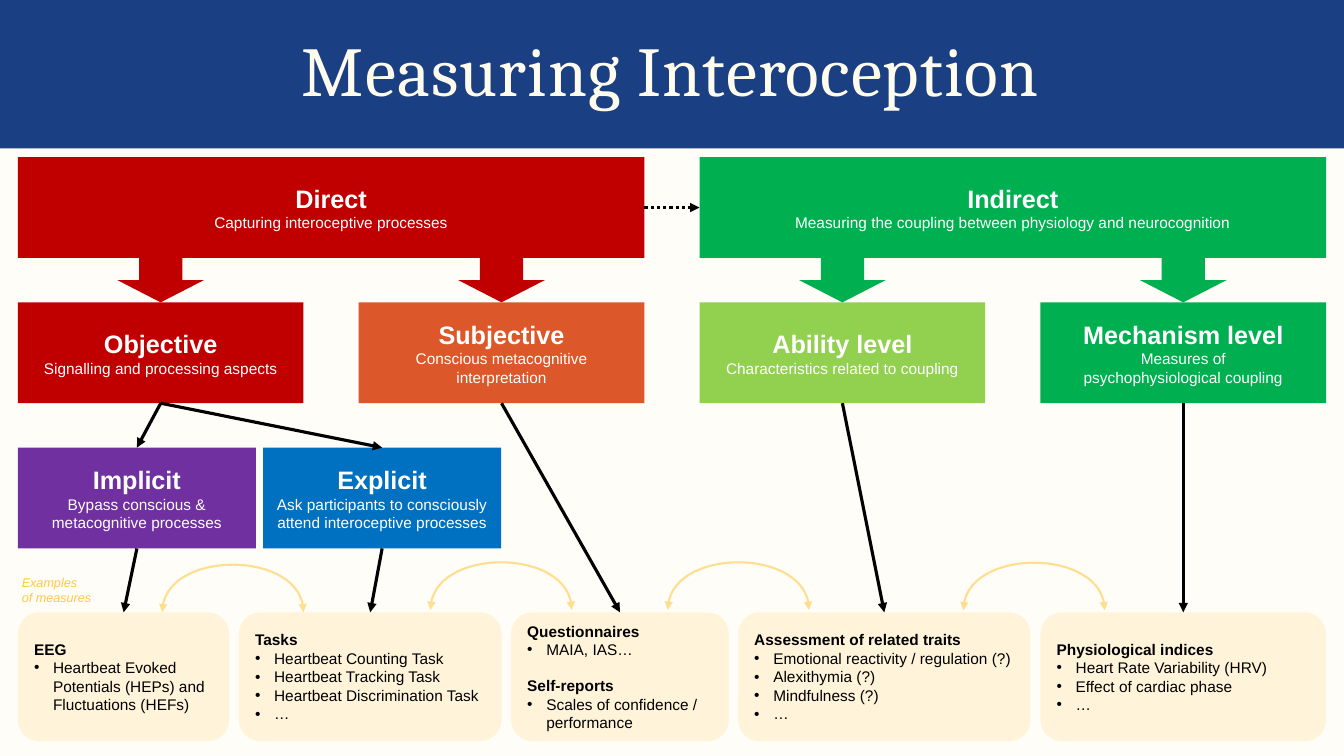
from lxml import etree
from pptx import Presentation
from pptx import util as u
from pptx.dml.color import RGBColor
from pptx.enum import dml, shapes, text
from pptx.oxml import ns

COLORS = {
    "page": "FFFDF8", "band": "1A3F82", "title": "FFFCEE", "red": "C00000",
    "orange": "DC582A", "green": "00B050", "lime": "92D050", "blue": "0070C0",
    "purple": "7030A0", "card": "FFF4DA", "arc": "FFDE8F", "note": "FFC845",
    "white": "FFFFFF", "black": "000000",
}
FORMATS = {
    "title": {"name": "Cambria", "size": u.Pt(50), "bold": False},
    "head": {"name": "Arial", "size": u.Pt(18), "bold": True},
    "sub": {"name": "Arial", "size": u.Pt(11), "bold": False},
    "topic": {"name": "Arial", "size": u.Pt(11), "bold": True},
    "note": {"name": "Arial", "size": u.Pt(9), "italic": True},
}
LEFT, PITCH, BOX_W, BOX_H = 0.45, 8.59, 7.2, 2.54
ROW_1, ROW_2, ROW_3, CARD_TOP = 3.96, 7.62, 11.28, 15.43
COLUMNS = [LEFT + i * PITCH for i in range(4)]


def rgb(key):
    """Return the named colour."""
    return RGBColor.from_string(COLORS[key])


def child(parent, tag, **attrs):
    """Append a DrawingML element to its parent."""
    return etree.SubElement(parent, ns.qn("a:" + tag), attrs)


class Deck:
    """Holds the presentation, the current slide and its style."""

    def __init__(self):
        """Open a title-only slide in widescreen."""
        self.prs = Presentation()
        self.prs.slide_width, self.prs.slide_height = u.Cm(33.87), u.Cm(19.05)
        self.s = self.prs.slides.add_slide(self.prs.slide_layouts[5])
        self.s.background.fill.solid()
        self.s.background.fill.fore_color.rgb = rgb("page")

    def run(self, p, words, style, color):
        """Add a formatted run to a paragraph."""
        r = p.add_run()
        r.text = words
        for name, value in FORMATS[style].items():
            setattr(r.font, name, value)
        r.font.color.rgb = rgb(color)

    def lines(self, tf, rows, color, align):
        """Fill a text frame with (words, style) rows."""
        tf.word_wrap = True
        tf.vertical_anchor = text.MSO_ANCHOR.MIDDLE
        for i, (words, style) in enumerate(rows):
            p = tf.add_paragraph() if i else tf.paragraphs[0]
            p.alignment = align
            self.run(p, words, style, color)

    def shape(self, kind, x, y, w, h, fill):
        """Add a flat filled shape."""
        sp = self.s.shapes.add_shape(kind, u.Cm(x), u.Cm(y), u.Cm(w), u.Cm(h))
        sp.shadow.inherit = False
        sp.fill.solid()
        sp.fill.fore_color.rgb = rgb(fill)
        sp.line.fill.background()
        return sp

    def title(self, words):
        """Place the title on its band."""
        sp = self.s.shapes.title
        band = self.shape(shapes.MSO_SHAPE.RECTANGLE, 0, 0, 33.87, 3.74, "band")
        sp.element.addprevious(band.element)
        sp.left, sp.top, sp.width, sp.height = (u.Cm(v) for v in (2.18, 0.79, 29.46, 2.16))
        self.lines(sp.text_frame, [(words, "title")], "title", text.PP_ALIGN.CENTER)
        p = sp.text_frame.paragraphs[0]
        p.line_spacing = 0.9
        p.space_before = u.Pt(0)
        p.runs[0]._r.get_or_add_rPr().set("spc", "80")

    def box(self, x, y, w, fill, head, *subs):
        """Add a coloured category box."""
        sp = self.shape(shapes.MSO_SHAPE.RECTANGLE, x, y, w, BOX_H, fill)
        rows = [(head, "head")] + [(sub, "sub") for sub in subs]
        self.lines(sp.text_frame, rows, "white", text.PP_ALIGN.CENTER)
        return sp

    def card(self, x, w, groups):
        """Add a rounded card of topics with bulleted examples."""
        sp = self.shape(shapes.MSO_SHAPE.ROUNDED_RECTANGLE, x, CARD_TOP, w, 3.25, "card")
        rows = []
        for topic, items in groups.items():
            rows += [(topic, "topic")] + [(item, "sub") for item in items]
        self.lines(sp.text_frame, rows, "black", text.PP_ALIGN.LEFT)
        for i, (p, (_, style)) in enumerate(zip(sp.text_frame.paragraphs, rows)):
            if style == "sub":
                pPr = p._p.get_or_add_pPr()
                pPr.set("marL", str(u.Cm(0.48)))
                pPr.set("indent", str(-u.Cm(0.48)))
                child(pPr, "buFont", typeface="Arial")
                child(pPr, "buChar", char="•")
            elif i:
                p.space_before = u.Pt(12.65)
        return sp

    def stroke(self, sp, color, width, ends, dash=None):
        """Style a line and give it arrowheads."""
        sp.line.color.rgb = rgb(color)
        sp.line.width = u.Pt(width)
        if dash:
            sp.line.dash_style = dash
        for end in ends:
            child(sp.element.spPr.find(ns.qn("a:ln")), end, type="triangle")

    def link(self, start, end, sites=(2, 0), dash=None):
        """Connect two shapes with an arrow."""
        sp = self.s.shapes.add_connector(shapes.MSO_CONNECTOR.STRAIGHT, 0, 0, 0, 0)
        sp.begin_connect(start, sites[0])
        sp.end_connect(end, sites[1])
        self.stroke(sp, "black", 2.25, ["tailEnd"], dash)
        child(sp.element.spPr, "effectLst")

    def arc(self, x, y, w=3.56, rise=1.6, steps=32):
        """Draw a double-headed arch."""
        ts = [i / steps for i in range(steps + 1)]
        points = [(u.Cm(x + w * t * t * (3 - 2 * t)), u.Cm(y - 3 * rise * t * (1 - t)))
                  for t in ts]
        builder = self.s.shapes.build_freeform(*points[0])
        builder.add_line_segments(points[1:], close=False)
        sp = builder.convert_to_shape()
        sp.shadow.inherit = False
        sp.fill.background()
        self.stroke(sp, "arc", 1.5, ["headEnd", "tailEnd"])

    def note(self, x, y, w, h, *words):
        """Add a small italic label."""
        sp = self.s.shapes.add_textbox(u.Cm(x), u.Cm(y), u.Cm(w), u.Cm(h))
        sp.text_frame.margin_top = sp.text_frame.margin_bottom = 0
        self.lines(sp.text_frame, [(line, "note") for line in words], "note",
                   text.PP_ALIGN.LEFT)


def main():
    """Build the slide."""
    deck = Deck()
    deck.title("Measuring Interoception")

    wide = PITCH + BOX_W
    direct = deck.box(COLUMNS[0], ROW_1, wide, "red", "Direct",
                      "Capturing interoceptive processes")
    indirect = deck.box(COLUMNS[2], ROW_1, wide, "green", "Indirect",
                        "Measuring the coupling between physiology and neurocognition")
    levels = [
        ("red", "Objective", "Signalling and processing aspects"),
        ("orange", "Subjective", "Conscious metacognitive interpretation"),
        ("lime", "Ability level", "Characteristics related to coupling"),
        ("green", "Mechanism level", "Measures of", "psychophysiological coupling"),
    ]
    objective, subjective, ability, mechanism = [
        deck.box(x, ROW_2, BOX_W, *level) for x, level in zip(COLUMNS, levels)]
    implicit = deck.box(LEFT, ROW_3, 6, "purple", "Implicit",
                        "Bypass conscious & metacognitive processes")
    explicit = deck.box(6.63, ROW_3, 6, "blue", "Explicit",
                        "Ask participants to consciously attend interoceptive processes")

    cards = [
        (LEFT, 5.33, {"EEG": [
            "Heartbeat Evoked Potentials (HEPs) and Fluctuations (HEFs)"]}),
        (6.02, 6.62, {"Tasks": [
            "Heartbeat Counting Task", "Heartbeat Tracking Task",
            "Heartbeat Discrimination Task", "…"]}),
        (12.88, 5.49, {"Questionnaires": ["MAIA, IAS…"],
                       "Self-reports": ["Scales of confidence / performance"]}),
        (18.6, 7.37, {"Assessment of related traits": [
            "Emotional reactivity / regulation (?)", "Alexithymia (?)",
            "Mindfulness (?)", "…"]}),
        (COLUMNS[3], BOX_W, {"Physiological indices": [
            "Heart Rate Variability (HRV)", "Effect of cardiac phase", "…"]}),
    ]
    eeg, tasks, reports, traits, indices = [deck.card(*card) for card in cards]

    deck.link(direct, indirect, (3, 1), dml.MSO_LINE.ROUND_DOT)
    for start, end in [(objective, implicit), (objective, explicit), (implicit, eeg),
                       (explicit, tasks), (subjective, reports), (ability, traits),
                       (mechanism, indices)]:
        deck.link(start, end)
    for x, fill in zip(COLUMNS, ["red", "red", "green", "green"]):
        deck.shape(shapes.MSO_SHAPE.DOWN_ARROW, x + BOX_W / 2 - 1.09, ROW_1 + BOX_H,
                   2.18, ROW_2 - ROW_1 - BOX_H, fill)
    for x, y in [(4.09, 15.43), (10.85, 15.37), (16.83, 15.37), (24.28, 15.38)]:
        deck.arc(x, y)
    deck.note(0.3, 14.48, 2.57, 0.79, "Examples", "of measures")

    deck.prs.save("out.pptx")


if __name__ == "__main__":
    main()
